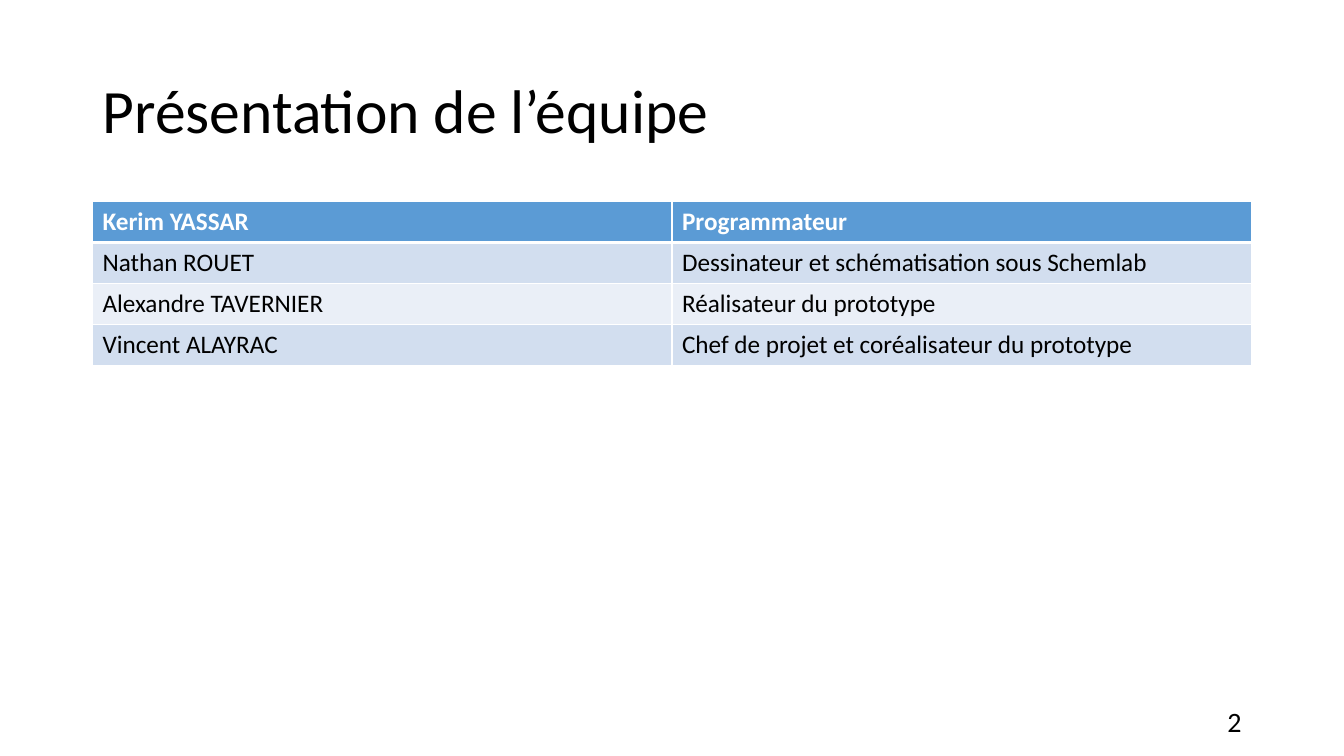
from pptx import Presentation
from pptx.dml.color import RGBColor
from pptx.enum.text import MSO_ANCHOR as Anchor, PP_ALIGN as Align
from pptx.oxml.ns import qn
from pptx.util import Cm, Pt
from lxml.etree import SubElement

HEADING = "Présentation de l’équipe"
PAGE = "2"
TEAM = [
    ("Kerim YASSAR", "Programmateur"),
    ("Nathan ROUET", "Dessinateur et schématisation sous Schemlab"),
    ("Alexandre TAVERNIER", "Réalisateur du prototype"),
    ("Vincent ALAYRAC", "Chef de projet et coréalisateur du prototype"),
]
BLACK, WHITE = "000000", "FFFFFF"
HEADER_FILL, BANDS = "5B9BD5", ("D2DEEF", "EAEFF7")
LEFT, WIDTH, ROW_HEIGHT = 2.33, 29.21, 1.03


def color(value):
    return RGBColor.from_string(value)


def write(frame, text, size, ink=BLACK, align=Align.LEFT, bold=False):
    frame.text = text
    paragraph = frame.paragraphs[0]
    paragraph.alignment = align
    font = paragraph.runs[0].font
    for name, value in {"name": "Calibri", "size": Pt(size), "bold": bold}.items():
        setattr(font, name, value)
    font.color.rgb = color(ink)
    return paragraph


def add_borders(cell, widths):
    """Draw white cell borders; widths maps a side (L, R, T, B) to points."""
    properties = cell._tc.get_or_add_tcPr()
    for side, width in widths.items():
        line = SubElement(properties, qn(f"a:ln{side}"), w=str(Pt(width)))
        SubElement(SubElement(line, qn("a:solidFill")), qn("a:srgbClr"), val=WHITE)


def main():
    deck = Presentation()
    deck.slide_width, deck.slide_height = Cm(33.87), Cm(19.05)
    slide = deck.slides.add_slide(deck.slide_layouts[5])

    heading = slide.shapes.title
    box = {"left": LEFT, "top": 1.01, "width": WIDTH, "height": 3.68}
    for name, value in box.items():
        setattr(heading, name, Cm(value))
    heading.text_frame.vertical_anchor = Anchor.MIDDLE
    write(heading.text_frame, HEADING, 44).line_spacing = 0.9

    team = slide.shapes.add_table(
        len(TEAM), len(TEAM[0]), Cm(LEFT), Cm(5.08), Cm(WIDTH), Cm(ROW_HEIGHT * len(TEAM))
    ).table
    for r, member in enumerate(TEAM):
        header = r == 0
        fill = HEADER_FILL if header else BANDS[(r - 1) % 2]
        for c, text in enumerate(member):
            cell = team.cell(r, c)
            write(cell.text_frame, text, 18, WHITE if header else BLACK, bold=header)
            top, bottom = 3 if r == 1 else 1, 3 if header else 1
            add_borders(cell, {"L": 1, "R": 1, "T": top, "B": bottom})
            cell.fill.solid()
            cell.fill.fore_color.rgb = color(fill)

    page = slide.shapes.add_textbox(Cm(23.92), Cm(17.66), Cm(7.62), Cm(1.01)).text_frame
    page.word_wrap = True
    page.vertical_anchor = Anchor.MIDDLE
    write(page, PAGE, 20, align=Align.RIGHT)

    deck.save("out.pptx")


if __name__ == "__main__":
    main()
